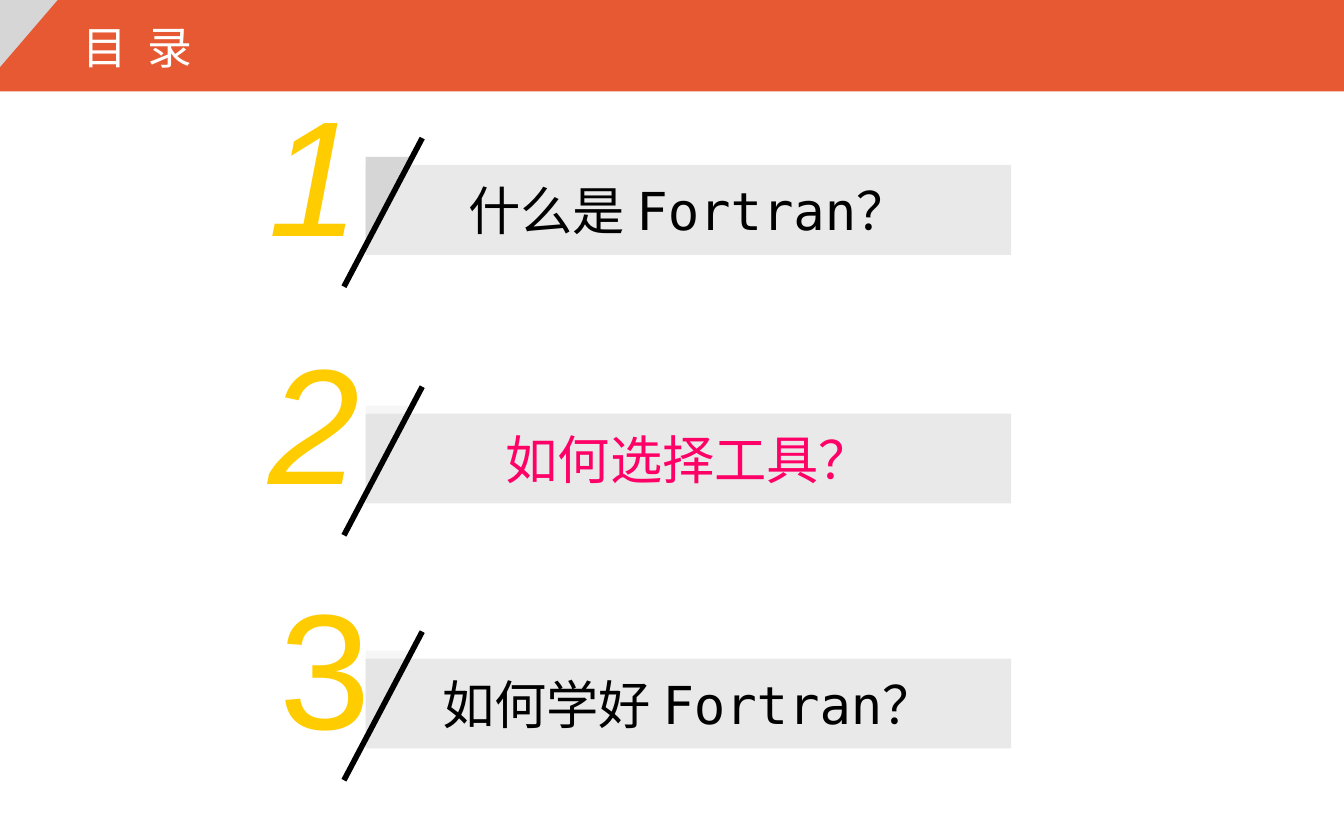
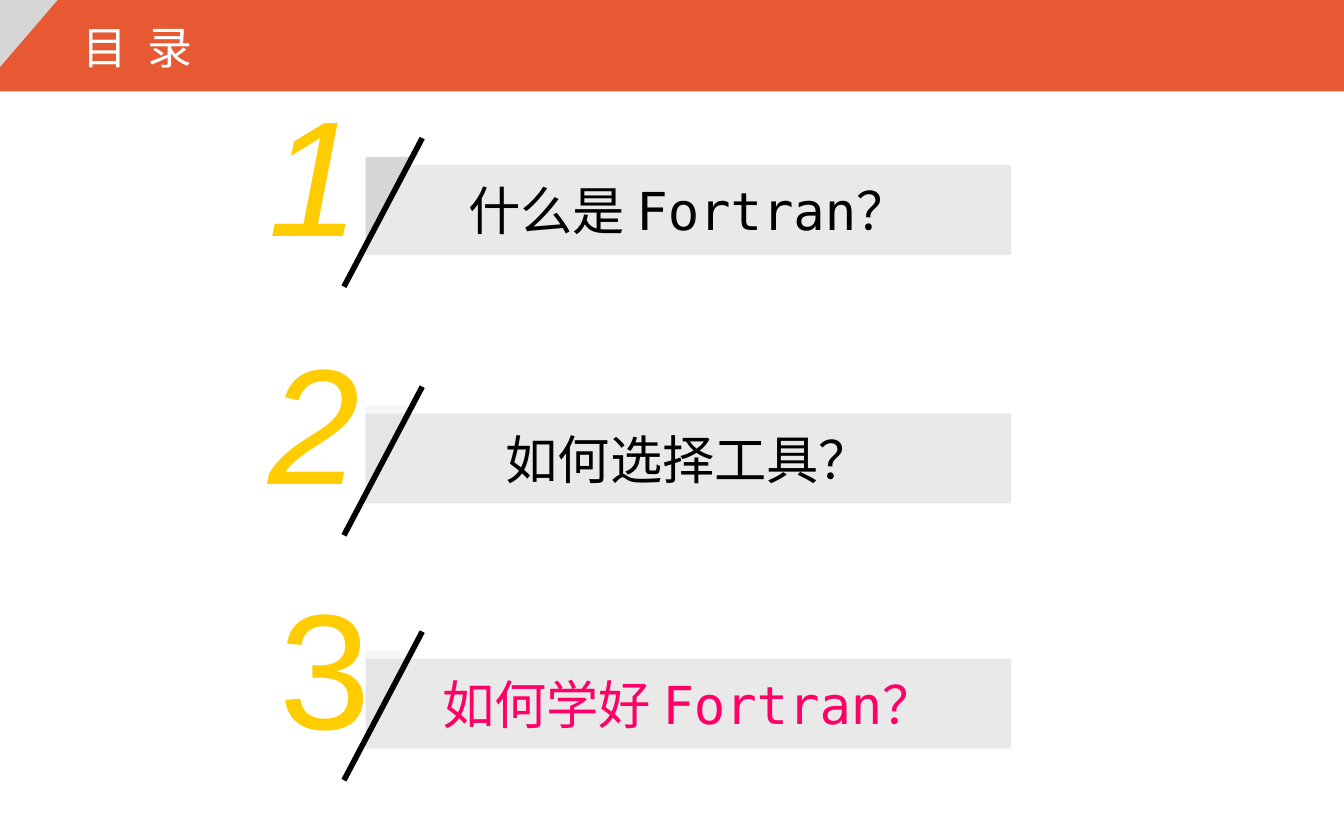
import pptx
import pptx.dml.color
import pptx.enum.shapes
import pptx.enum.text
import pptx.oxml.ns
import pptx.util
from lxml import etree
from pptx.util import Cm, Pt

RGBColor = pptx.dml.color.RGBColor
SHAPE = pptx.enum.shapes.MSO_SHAPE
ALIGN = pptx.enum.text.PP_ALIGN
ANCHOR = pptx.enum.text.MSO_ANCHOR
AUTO_SIZE = pptx.enum.text.MSO_AUTO_SIZE
qn = pptx.oxml.ns.qn

ORANGE = RGBColor(0xE7, 0x59, 0x33)
CORNER_GRAY = RGBColor(0xD6, 0xD6, 0xD6)
BAR_GRAY = RGBColor(0x94, 0x94, 0x94)
YELLOW = RGBColor(0xFF, 0xCC, 0x00)
PINK = RGBColor(0xFF, 0x00, 0x66)
BLACK = RGBColor(0x00, 0x00, 0x00)
WHITE = RGBColor(0xFF, 0xFF, 0xFF)
SANS, MONO = "Arial", "DejaVu Sans Mono"

SLIDE_WIDTH, SLIDE_HEIGHT = 25.4, 15.88
BAR_LEFT, BAR_WIDTH, BAR_HEIGHT = 6.91, 12.2, 1.7

TITLE = ("目", " ", "录")
TITLE_GAP = 5.4  # extra points after the space in the title

# Lengths in cm; corner_opacity in percent
TOPICS = [
    {"number": "1", "italic": True, "number_left": 4.83, "bar_top": 3.12, "corner_opacity": 100,
     "label": [("什么是 ", SANS), ("Fortran", MONO), ("？", SANS)]},
    {"number": "2", "italic": True, "number_left": 4.83, "bar_top": 7.82, "corner_opacity": 20,
     "label": [("如何选择工具？", SANS)]},
    {"number": "3", "italic": False, "number_left": 5.03, "bar_top": 12.45, "corner_opacity": 20,
     "label": [("如何学好 ", SANS), ("Fortran", MONO), ("？", SANS)]},
]
HIGHLIGHTED_NUMBERS = ["2", "3"]  # one per slide


def add_filled(shapes, kind, left, top, width, height, color, opacity=100):
    shape = shapes.add_shape(kind, Cm(left), Cm(top), Cm(width), Cm(height))
    shape.shadow.inherit = False
    shape.fill.solid()
    shape.fill.fore_color.rgb = color
    shape.line.fill.background()
    if opacity < 100:
        color_element = shape.element.spPr.find(".//" + qn("a:srgbClr"))
        etree.SubElement(color_element, qn("a:alpha"), val=str(opacity * 1000))
    return shape


def add_corner(shapes, left, top, width, height, opacity=100):
    """Add a right triangle whose right angle is at the top left."""
    corner = add_filled(shapes, SHAPE.RIGHT_TRIANGLE, left, top, width, height, CORNER_GRAY, opacity)
    corner.element.spPr.find(qn("a:xfrm")).set("flipV", "1")


def add_span(para, text, font, size, color, italic=False):
    span = para.add_run()
    span.text = text
    span.font.name = font
    span.font.size = Pt(size)
    span.font.color.rgb = color
    span.font.italic = italic
    return span


def add_slash(shapes, bar_top):
    slash = shapes.add_connector(pptx.enum.shapes.MSO_CONNECTOR.STRAIGHT,
                                 Cm(7.98), Cm(bar_top - 0.51), Cm(6.5), Cm(bar_top + 2.3))
    slash.line.color.rgb = BLACK
    slash.line.width = Pt(3)
    etree.SubElement(slash.element.spPr, qn("a:effectLst"))


def add_topic(page, topic, label_color):
    shapes = page.shapes.add_group_shape().shapes
    top = topic["bar_top"]

    box = shapes.add_textbox(Cm(topic["number_left"]), Cm(top - 1.88), Cm(2.24), Cm(3.99))
    box.text_frame.word_wrap = False
    box.text_frame.auto_size = AUTO_SIZE.SHAPE_TO_FIT_TEXT
    add_span(box.text_frame.paragraphs[0], topic["number"], SANS, 88, YELLOW, topic["italic"])

    bar = add_filled(shapes, SHAPE.RECTANGLE, BAR_LEFT, top, BAR_WIDTH, BAR_HEIGHT, BAR_GRAY, 20)
    bar.text_frame.vertical_anchor = ANCHOR.MIDDLE
    para = bar.text_frame.paragraphs[0]
    para.alignment = ALIGN.CENTER
    for text, font in topic["label"]:
        add_span(para, text, font, 28, label_color)

    add_corner(shapes, BAR_LEFT, top - 0.15, 0.94, 1.68, topic["corner_opacity"])
    add_slash(shapes, top)


def set_title(page):
    """Fill the title placeholder and bring it in front of the band."""
    title = page.shapes.title
    title.left, title.top, title.width, title.height = Cm(1.3), Cm(0.25), Cm(8.61), Cm(1.27)
    frame = title.text_frame
    frame.word_wrap = True
    frame.auto_size = AUTO_SIZE.SHAPE_TO_FIT_TEXT
    frame.vertical_anchor = ANCHOR.TOP
    para = frame.paragraphs[0]
    para.alignment = ALIGN.LEFT
    for text in TITLE:
        span = add_span(para, text, MONO, 24, WHITE)
        if text == " ":
            span.font._element.set("spc", str(round(TITLE_GAP * 100)))
    title.element.getparent().append(title.element)


def add_contents_page(deck, highlighted):
    page = deck.slides.add_slide(deck.slide_layouts[5])
    add_filled(page.shapes, SHAPE.RECTANGLE, 0, 0, SLIDE_WIDTH, 1.73, ORANGE)
    add_corner(page.shapes, 0, 0, 1.09, 1.27)
    for topic in TOPICS:
        add_topic(page, topic, PINK if topic["number"] == highlighted else BLACK)
    set_title(page)


def main():
    deck = pptx.Presentation()
    deck.slide_width, deck.slide_height = Cm(SLIDE_WIDTH), Cm(SLIDE_HEIGHT)
    for number in HIGHLIGHTED_NUMBERS:
        add_contents_page(deck, number)
    deck.save("out.pptx")


if __name__ == "__main__":
    main()
